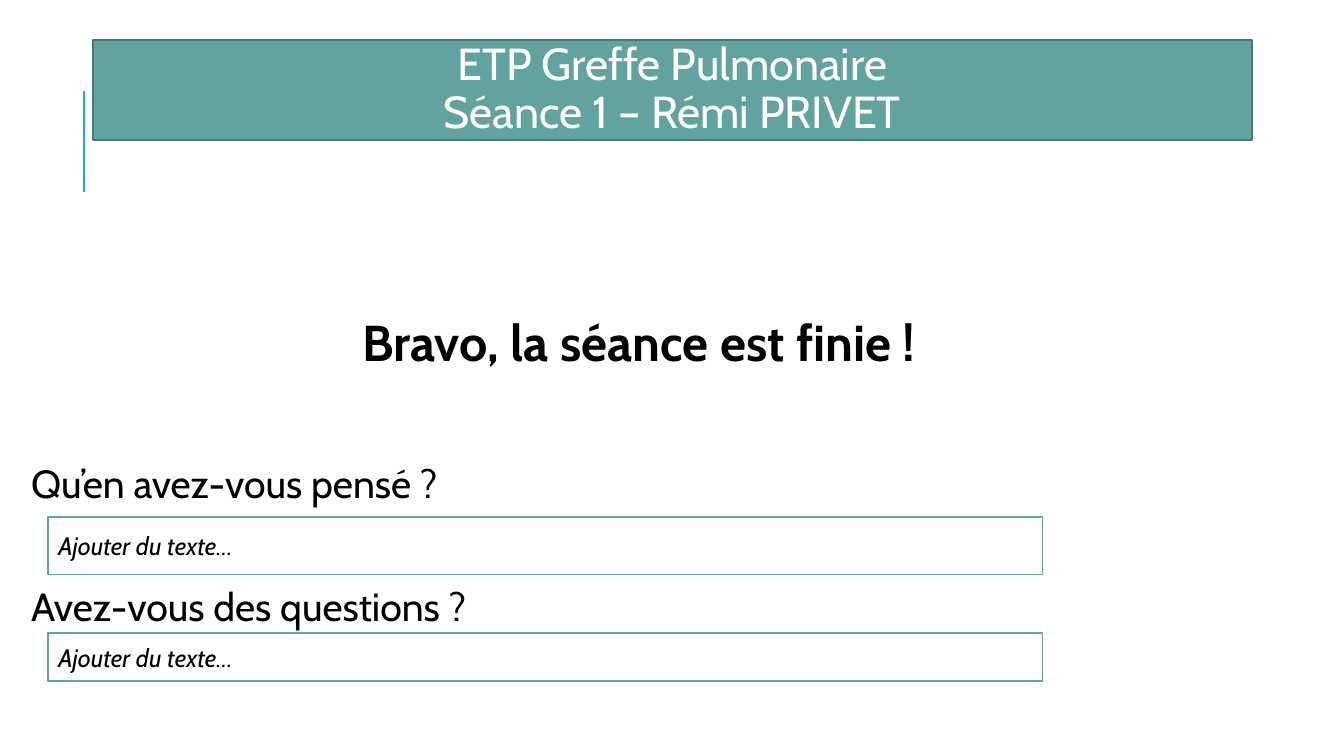
import pptx
import pptx.dml.color
import pptx.enum.shapes
import pptx.enum.text
import pptx.util
from lxml import etree
from pptx.util import Inches

COLORS = {
    "teal": "62A39F",
    "teal_edge": "497976",
    "accent": "1CADE4",
    "white": "FFFFFF",
    "black": "000000",
}
FONT = "Cabin"
PROMPT = "Ajouter du texte…"
DRAWING_NS = "{http://schemas.openxmlformats.org/drawingml/2006/main}"
ALIGN = pptx.enum.text.PP_ALIGN
ANCHOR = pptx.enum.text.MSO_ANCHOR


def rgb(name):
    return pptx.dml.color.RGBColor.from_string(COLORS[name])


def place(shape, left, top, width, height):
    shape.left, shape.top = Inches(left), Inches(top)
    shape.width, shape.height = Inches(width), Inches(height)


def paint(shape, fill, edge):
    shape.fill.solid()
    shape.fill.fore_color.rgb = rgb(fill)
    shape.line.color.rgb = rgb(edge)
    shape.line.width = pptx.util.Pt(1.25)


def style(paragraph, size, color, align=ALIGN.LEFT, bold=False, italic=False):
    paragraph.alignment = align
    font = paragraph.font
    font.name, font.size = FONT, pptx.util.Pt(size)
    font.bold, font.italic = bold, italic
    font.color.rgb = rgb(color)


def prepare_frame(frame, anchor):
    frame.word_wrap = True
    frame.auto_size = pptx.enum.text.MSO_AUTO_SIZE.NONE
    frame.vertical_anchor = anchor


def add_accent_line(slide):
    accent = slide.shapes.add_connector(
        pptx.enum.shapes.MSO_CONNECTOR.STRAIGHT,
        Inches(0.83), Inches(1.9), Inches(0.83), Inches(0.9))
    accent.line.color.rgb = rgb("accent")
    accent.line.width = pptx.util.Pt(1.5)
    etree.SubElement(accent._element.spPr, DRAWING_NS + "effectLst")


def fill_title(title):
    place(title, 0.92, 0.4, 11.5, 0.99)
    paint(title, "teal", "teal_edge")
    prepare_frame(title.text_frame, ANCHOR.MIDDLE)
    title.text_frame.text = "ETP Greffe Pulmonaire\vSéance 1 – Rémi PRIVET"
    heading = title.text_frame.paragraphs[0]
    heading.line_spacing = 0.9
    style(heading, 32, "white", ALIGN.CENTER)


def fill_body(body):
    place(body, 0.26, 3.1, 12.15, 3.66)
    frame = body.text_frame
    prepare_frame(frame, ANCHOR.TOP)
    frame.margin_left = frame.margin_right = Inches(0.05)
    frame.margin_top = frame.margin_bottom = Inches(0.05)
    lines = [
        ("Bravo, la séance est finie !", 36, 0, ALIGN.CENTER, True),
        ("Qu’en avez-vous pensé ?", 28, 66, ALIGN.LEFT, False),
        ("Avez-vous des questions ?", 28, 58, ALIGN.LEFT, False),
    ]
    frame.text = "\n".join(line[0] for line in lines)
    for paragraph, (_, size, gap, align, bold) in zip(frame.paragraphs, lines):
        properties = paragraph._p.get_or_add_pPr()
        properties.set("marL", "0")
        properties.set("indent", "0")
        etree.SubElement(properties, DRAWING_NS + "buNone")
        paragraph.line_spacing = 0.9
        paragraph.space_before = pptx.util.Pt(gap)
        paragraph.space_after = pptx.util.Pt(0)
        style(paragraph, size, "black", align, bold)


def add_answer_box(slide, top, height):
    answer = slide.shapes.add_shape(
        pptx.enum.shapes.MSO_SHAPE.RECTANGLE,
        Inches(0.48), Inches(top), Inches(9.86), Inches(height))
    answer.shadow.inherit = False
    paint(answer, "white", "teal")
    prepare_frame(answer.text_frame, ANCHOR.MIDDLE)
    answer.text_frame.text = PROMPT
    style(answer.text_frame.paragraphs[0], 18, "black", italic=True)


def main():
    deck = pptx.Presentation()
    deck.slide_width, deck.slide_height = Inches(13.33), Inches(7.5)
    slide = deck.slides.add_slide(deck.slide_layouts[1])
    add_accent_line(slide)
    fill_title(slide.shapes.title)
    fill_body(slide.placeholders[1])
    for top, height in ((5.13, 0.57), (6.28, 0.48)):
        add_answer_box(slide, top, height)
    deck.save("out.pptx")


if __name__ == "__main__":
    main()
